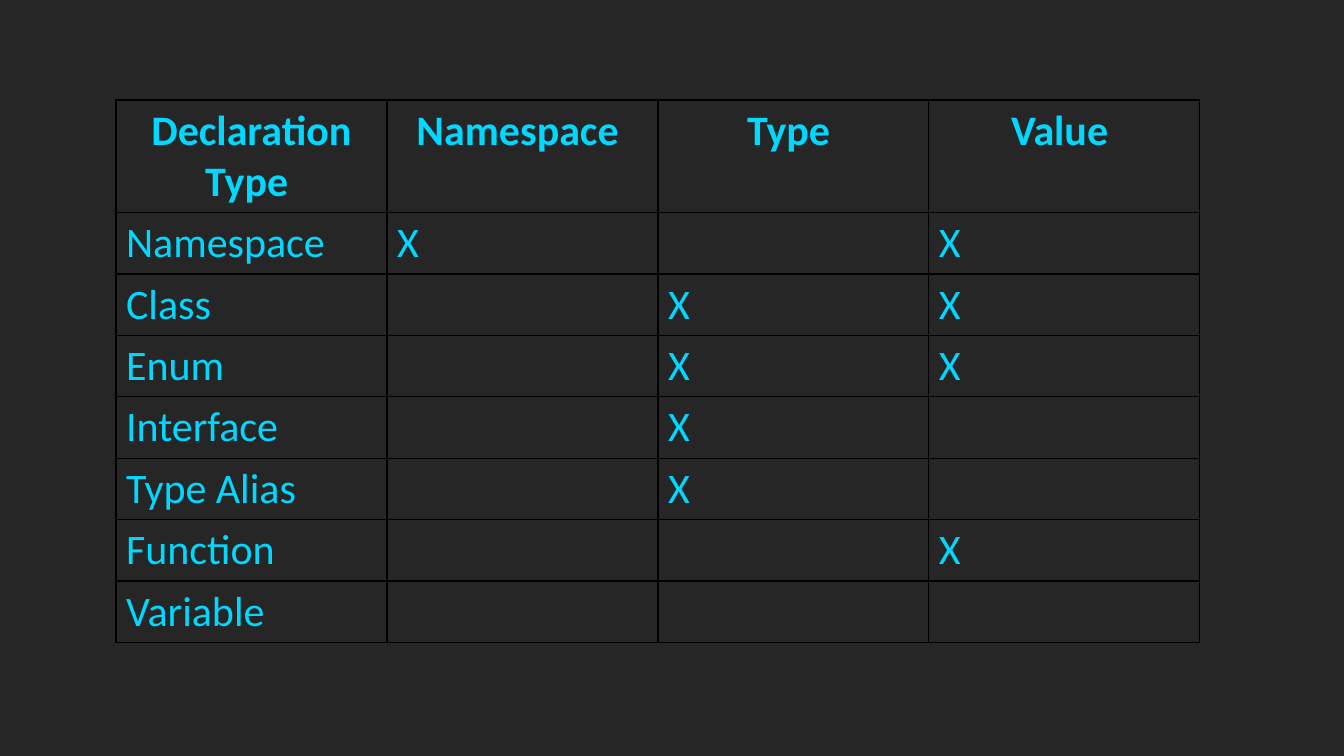
from lxml import etree
from pptx import Presentation
from pptx import util as u
from pptx.dml.color import RGBColor
from pptx.enum import text
from pptx.oxml.ns import qn

SCALE = 914400 / 100.8
COLORS = {"background": "262626", "text": "00D8FF", "border": "000000"}
NBSP = chr(160)
HEADERS = [["Declaration", "Type"], ["Namespace"], ["Type"], ["Value"]]
MEANINGS = ["Namespace", "Type", "Value"]
DECLARATIONS = {
    "Namespace": {"Namespace", "Value"},
    "Class": {"Type", "Value"},
    "Enum": {"Type", "Value"},
    "Interface": {"Type"},
    f"Type{NBSP}Alias": {"Type"},
    "Function": {"Value"},
    "Variable": set(),
}


def px(length):
    return u.Emu(round(length * SCALE))


class DarkSlide:
    font = "Calibri"
    size = u.Pt(30)

    def __init__(self, presentation):
        self.slide = presentation.slides.add_slide(presentation.slide_layouts[6])
        self.fill(self.slide.background.fill, "background")

    def fill(self, fill, color):
        fill.solid()
        fill.fore_color.rgb = RGBColor.from_string(COLORS[color])

    def border(self, cell):
        properties = cell._tc.get_or_add_tcPr()
        for side in ("lnL", "lnR", "lnT", "lnB"):
            line = etree.SubElement(properties, qn(f"a:{side}"), w=str(u.Pt(1)))
            solid = etree.SubElement(line, qn("a:solidFill"))
            etree.SubElement(solid, qn("a:srgbClr"), val=COLORS["border"])

    def add_lines(self, cell, lines, header):
        """Put one paragraph per line; the last line ends in a no-break space."""
        frame = cell.text_frame
        for index, line in enumerate(lines):
            paragraph = frame.add_paragraph() if index else frame.paragraphs[0]
            paragraph.alignment = text.PP_ALIGN.CENTER if header else text.PP_ALIGN.LEFT
            run = paragraph.add_run()
            run.text = line + NBSP if index == len(lines) - 1 else line
            run.font.name, run.font.size, run.font.bold = self.font, self.size, header
            run.font.color.rgb = RGBColor.from_string(COLORS["text"])

    def table(self, rows, left, top, column_width, header_height, row_height):
        """Draw rows of cells, each cell a list of lines; the first row is the header."""
        columns = len(rows[0])
        height = header_height + row_height * (len(rows) - 1)
        shape = self.slide.shapes.add_table(
            len(rows), columns, px(left), px(top), px(column_width * columns), px(height))
        table = shape.table
        table.horz_banding = table.first_row = False
        for column in table.columns:
            column.width = px(column_width)
        for index, cells in enumerate(rows):
            table.rows[index].height = px(row_height if index else header_height)
            for cell, lines in zip(table.rows[index].cells, cells):
                self.border(cell)
                self.fill(cell.fill, "background")
                self.add_lines(cell, lines, header=index == 0)


def main():
    presentation = Presentation()
    presentation.slide_width, presentation.slide_height = px(1344), px(756)
    rows = [HEADERS]
    for name, created in DECLARATIONS.items():
        marks = [["X"] if meaning in created else [] for meaning in MEANINGS]
        rows.append([[name], *marks])
    DarkSlide(presentation).table(
        rows, left=116, top=100, column_width=271, header_height=112, row_height=61)
    presentation.save("out.pptx")


if __name__ == "__main__":
    main()
